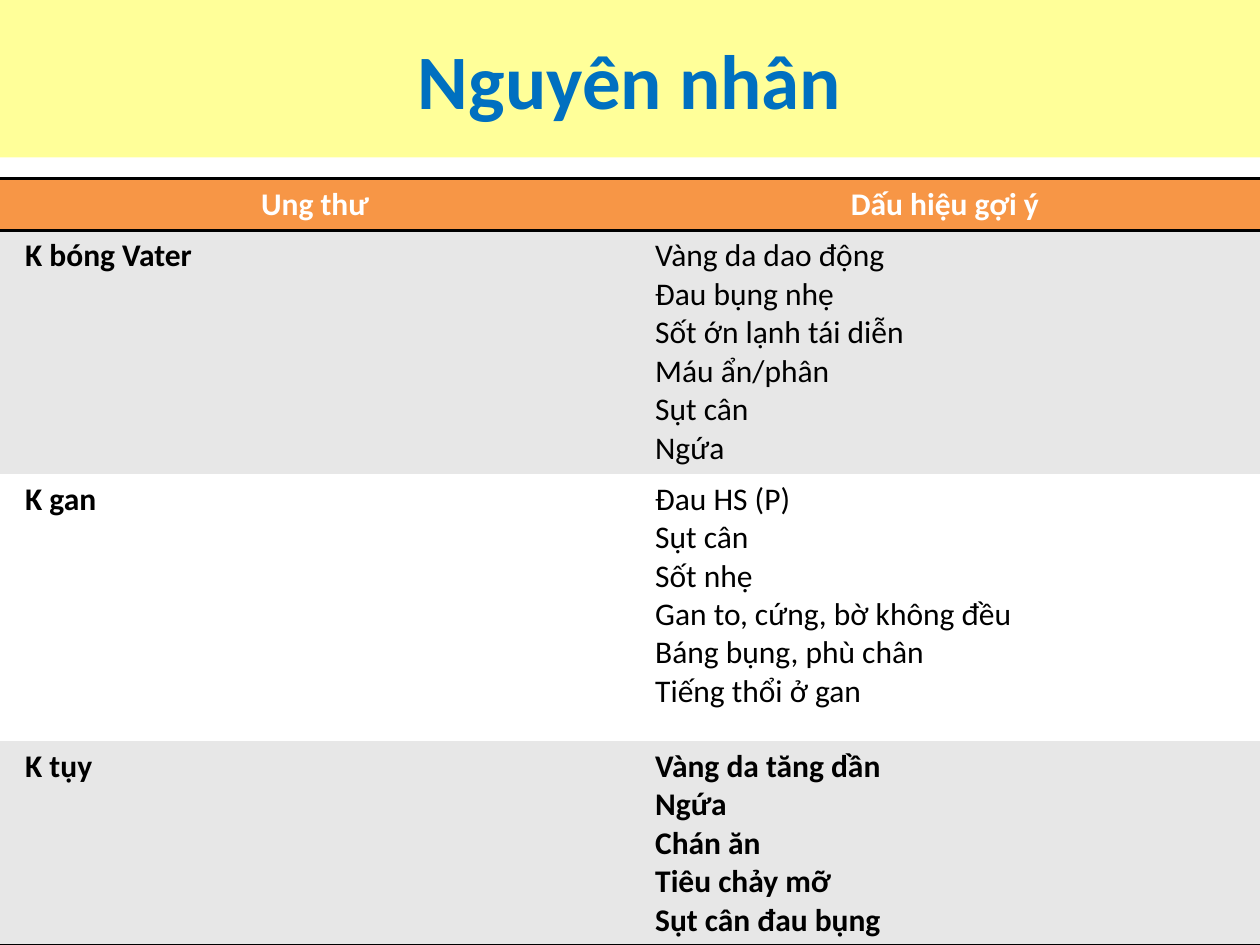
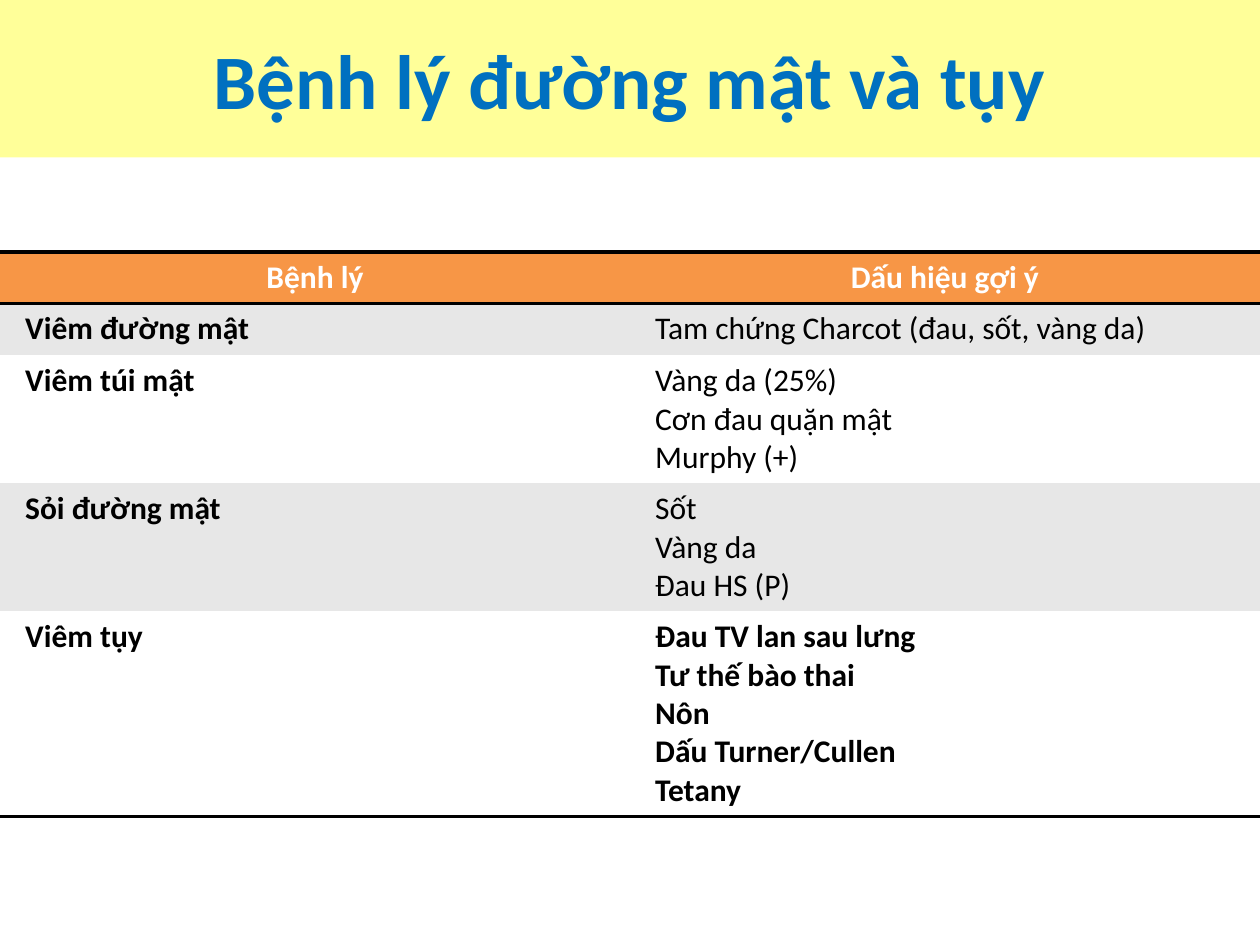
from lxml import etree
from pptx import Presentation
from pptx.dml.color import RGBColor
from pptx.enum.text import MSO_ANCHOR, PP_ALIGN
from pptx.oxml.ns import qn
from pptx.util import Inches, Pt

CENTER, LEFT = PP_ALIGN.CENTER, PP_ALIGN.LEFT
MIDDLE = MSO_ANCHOR.MIDDLE
TITLE_ONLY = 5
PAGE_WIDTH, PAGE_HEIGHT = 10, 7.5
BAND_HEIGHT = 1.25
LINE_HEIGHT, ROW_PADDING = 0.3, 0.11
RULE_WIDTH = Pt(2)
PLAIN_TABLE = "{2D5ABB26-0587-4C30-8999-92F81FD0307C}"
FONT = "Calibri"
COLORS = {
    "band": "FFFF99",
    "title": "0070C0",
    "header": "F79646",
    "header_text": "FFFFFF",
    "text": "000000",
    "rule": "000000",
    "odd_row": "E7E7E7",
    "even_row": "FFFFFF",
}

CANCER_ROWS = [
    ("K bóng Vater", ["Vàng da dao động", "Đau bụng nhẹ", "Sốt ớn lạnh tái diễn",
                      "Máu ẩn/phân", "Sụt cân", "Ngứa"]),
    ("K gan", ["Đau HS (P)", "Sụt cân", "Sốt nhẹ", "Gan to, cứng, bờ không đều",
               "Báng bụng, phù chân", "Tiếng thổi ở gan"]),
    ("K tụy", ["Vàng da tăng dần", "Ngứa", "Chán ăn", "Tiêu chảy mỡ",
               "Sụt cân đau bụng"]),
]
BILIARY_ROWS = [
    ("Viêm đường mật", ["Tam chứng Charcot (đau, sốt, vàng da)"]),
    ("Viêm túi mật", ["Vàng da (25%)", "Cơn đau quặn mật", "Murphy (+)"]),
    ("Sỏi đường mật", ["Sốt", "Vàng da", "Đau HS (P)"]),
    ("Viêm tụy", ["Đau TV lan sau lưng", "Tư thế bào thai", "Nôn",
                  "Dấu Turner/Cullen", "Tetany"]),
]


def color(name):
    return RGBColor.from_string(COLORS[name])


class SlideBuilder:
    def __init__(self, deck):
        self.deck = deck
        self.page = None

    def add_page(self, title):
        self.page = self.deck.slides.add_slide(self.deck.slide_layouts[TITLE_ONLY])
        band = self.page.shapes.title
        band.left = band.top = 0
        band.width, band.height = Inches(PAGE_WIDTH), Inches(BAND_HEIGHT)
        band.fill.solid()
        band.fill.fore_color.rgb = color("band")
        band.text_frame.vertical_anchor = MIDDLE
        self.add_lines(band.text_frame, [title], 44, "title", True, CENTER)

    def add_lines(self, frame, lines, size, color_name, bold, align):
        for index, line in enumerate(lines):
            para = frame.paragraphs[0] if index == 0 else frame.add_paragraph()
            para.alignment = align
            span = para.add_run()
            span.text = line
            span.font.name = FONT
            span.font.size = Pt(size)
            span.font.bold = bold
            span.font.color.rgb = color(color_name)

    def add_sign_table(self, top, heading, rows, heights=None):
        """Add the table of diseases and signs; heights overrides rows by number."""
        line_counts = [1] + [len(signs) for _, signs in rows]
        sizes = [ROW_PADDING + LINE_HEIGHT * count for count in line_counts]
        for number, height in (heights or {}).items():
            sizes[number] = height
        frame = self.page.shapes.add_table(len(sizes), 2, 0, Inches(top),
                                           Inches(PAGE_WIDTH), Inches(sum(sizes)))
        table = frame.table
        frame._element.find(".//" + qn("a:tableStyleId")).text = PLAIN_TABLE
        for row, height in zip(table.rows, sizes):
            row.height = Inches(height)

        for column, label in enumerate([heading, "Dấu hiệu gợi ý"]):
            self.fill_cell(table.cell(0, column), [label], "header", "header_text",
                           True, CENTER, ["lnT", "lnB"])
        for number, (disease, signs) in enumerate(rows, start=1):
            last = number == len(rows)
            fill = "odd_row" if number % 2 else "even_row"
            rules = ["lnB"] if last else []
            self.fill_cell(table.cell(number, 0), [disease], fill, "text", True, LEFT, rules)
            self.fill_cell(table.cell(number, 1), signs, fill, "text", last, LEFT, rules)

    def fill_cell(self, cell, lines, fill, text_color, bold, align, rules):
        cell.margin_left = cell.margin_right = Inches(0.2)
        cell.margin_top = cell.margin_bottom = Inches(0.05)
        cell.fill.solid()
        cell.fill.fore_color.rgb = color(fill)
        self.add_lines(cell.text_frame, lines, 18, text_color, bold, align)
        properties = cell._tc.get_or_add_tcPr()
        for position, side in enumerate(rules):
            rule = etree.Element(qn("a:" + side), w=str(RULE_WIDTH))
            paint = etree.SubElement(rule, qn("a:solidFill"))
            etree.SubElement(paint, qn("a:srgbClr"), val=COLORS["rule"])
            properties.insert(position, rule)


def main():
    deck = Presentation()
    deck.slide_width, deck.slide_height = Inches(PAGE_WIDTH), Inches(PAGE_HEIGHT)
    builder = SlideBuilder(deck)

    builder.add_page("Nguyên nhân")
    builder.add_sign_table(1.42, "Ung thư", CANCER_ROWS, heights={2: 2.12})

    builder.add_page("Bệnh lý đường mật và tụy")
    builder.add_sign_table(2, "Bệnh lý", BILIARY_ROWS)

    deck.save("out.pptx")


if __name__ == "__main__":
    main()
